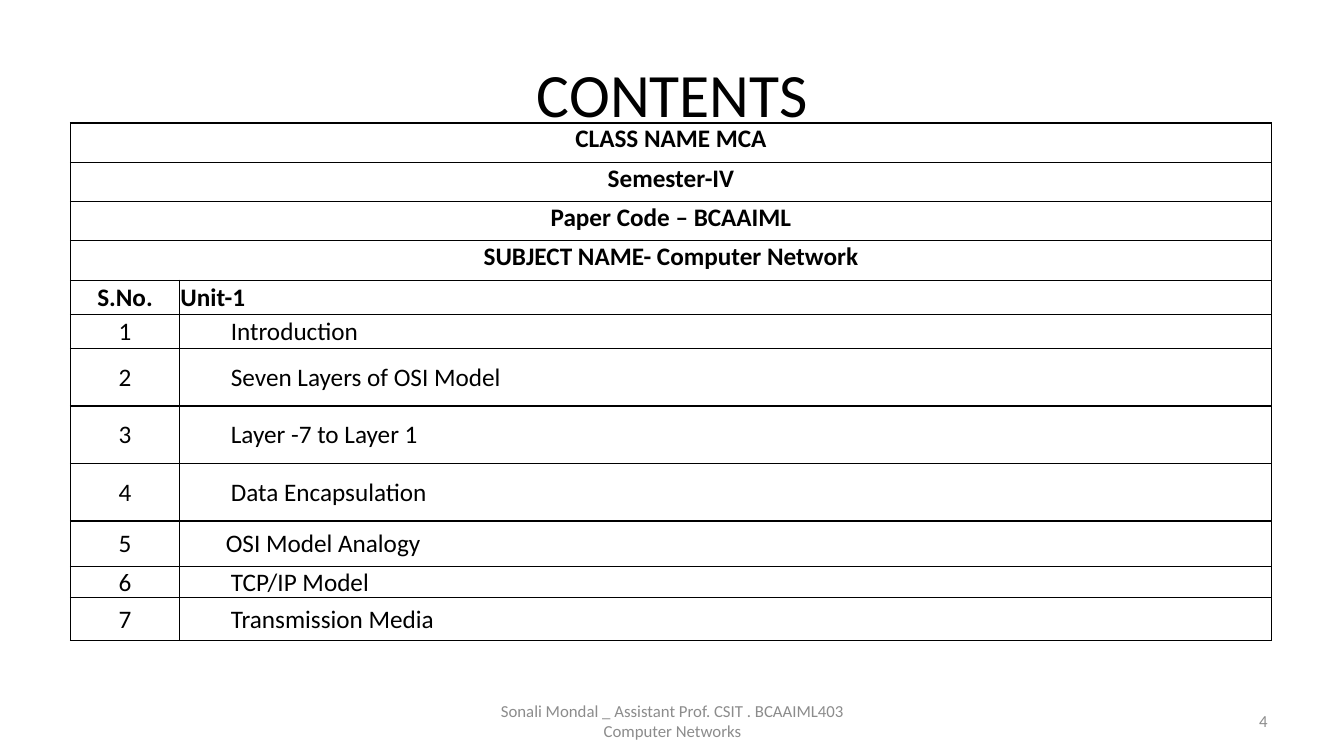
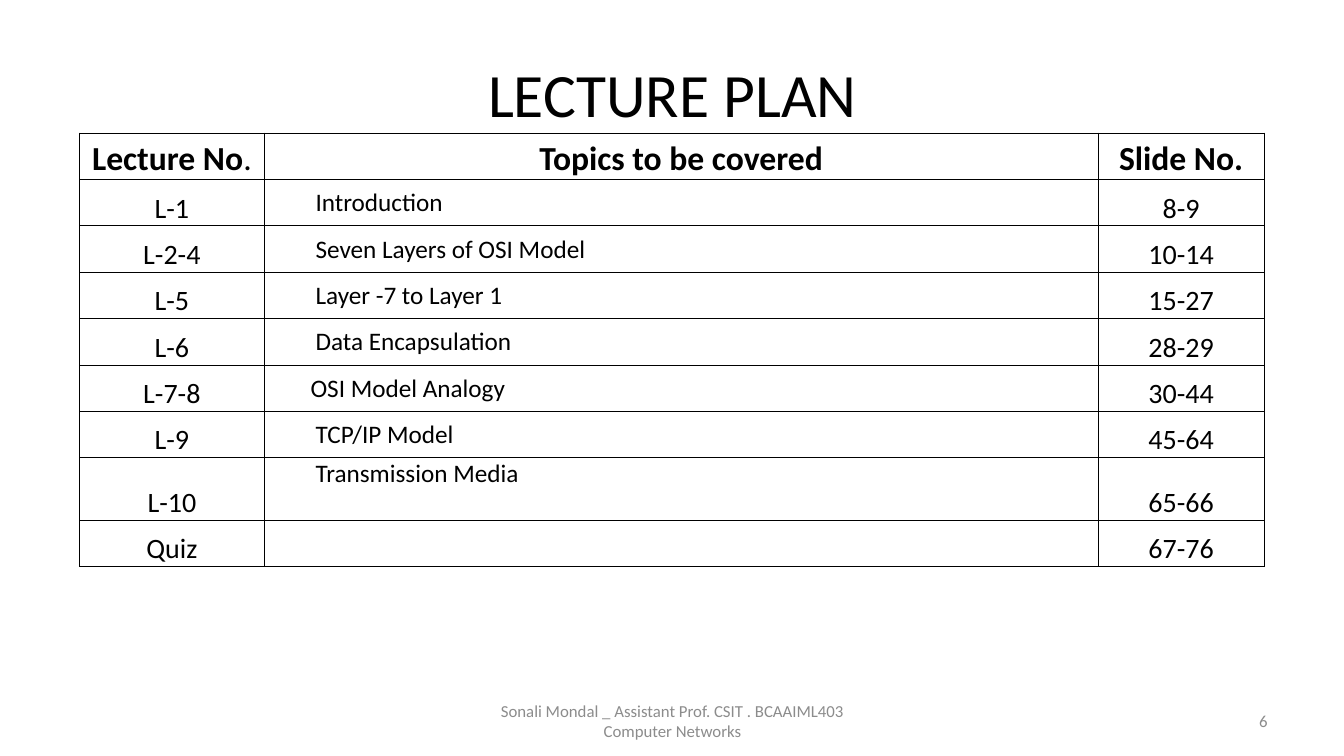
"""Builds the contents and lecture plan slides of a computer networks course."""
from dataclasses import dataclass

import pptx
import pptx.dml.color
import pptx.enum.text
import pptx.oxml
import pptx.oxml.ns
import pptx.util

Inches = pptx.util.Inches
ALIGN = pptx.enum.text.PP_ALIGN
ANCHOR = pptx.enum.text.MSO_ANCHOR

FONT = "Calibri"
BLACK = "000000"
GREY = "8C8C8C"
FOOTER = "Sonali Mondal _ Assistant Prof. CSIT . BCAAIML403 Computer Networks"


@dataclass(frozen=True)
class Style:
    size: float = 18
    bold: bool = False
    align: int = ALIGN.CENTER
    anchor: int = ANCHOR.MIDDLE
    indent: float = 0
    colour: str = BLACK


@dataclass(frozen=True)
class Entry:
    text: str
    style: Style
    plain_end: str = ""


@dataclass(frozen=True)
class Grid:
    left: float
    top: float
    columns: list[float]
    rows: list[float]
    entries: list[list[Entry]]
    border: float


TITLE = Style(size=44)
FOOTER_TEXT = Style(size=12, colour=GREY)
PAGE_NUMBER = Style(size=12, colour=GREY, align=ALIGN.RIGHT)
BANNER = Style(bold=True, anchor=ANCHOR.TOP)
HEADING = Style(bold=True)
UNIT = Style(bold=True, align=ALIGN.JUSTIFY)
NUMBER = Style()
TOPIC = Style(align=ALIGN.LEFT, indent=0.5)
NEAR_TOPIC = Style(align=ALIGN.LEFT, indent=0.45)
TOP_TOPIC = Style(align=ALIGN.LEFT, indent=0.5, anchor=ANCHOR.TOP)
PLAN_HEADING = Style(size=24, bold=True, anchor=ANCHOR.BOTTOM)
PLAN_VALUE = Style(size=20, anchor=ANCHOR.BOTTOM)

TOPICS = [
    Entry("Introduction", TOPIC),
    Entry("Seven Layers of OSI Model", TOPIC),
    Entry("Layer -7 to Layer 1", TOPIC),
    Entry("Data Encapsulation", TOPIC),
    Entry("OSI Model Analogy", NEAR_TOPIC),
    Entry("TCP/IP Model", TOPIC),
    Entry("Transmission Media", TOPIC),
]
BANNERS = ["CLASS NAME MCA", "Semester-IV", "Paper Code – BCAAIML", "SUBJECT NAME- Computer Network"]
LECTURES = ["L-1", "L-2-4", "L-5", "L-6", "L-7-8", "L-9", "L-10", "Quiz"]
SLIDE_RANGES = ["8-9", "10-14", "15-27", "28-29", "30-44", "45-64", "65-66", "67-76"]
PLAN_TOPICS = [*TOPICS[:-1], Entry(TOPICS[-1].text, TOP_TOPIC), Entry("", TOPIC)]

CONTENTS = Grid(
    left=0.7, top=1.22, columns=[1.08, 10.83],
    rows=[0.39] * 4 + [0.34] * 2 + [0.57] * 3 + [0.45, 0.31, 0.43],
    entries=[[Entry(banner, BANNER)] for banner in BANNERS]
    + [[Entry("S.No.", HEADING), Entry("Unit-1", UNIT)]]
    + [[Entry(str(number), NUMBER), topic] for number, topic in enumerate(TOPICS, 1)],
    border=1,
)
LECTURE_PLAN = Grid(
    left=0.79, top=1.32, columns=[1.83, 8.27, 1.65],
    rows=[0.46] * 7 + [0.62, 0.46],
    entries=[[
        Entry("Lecture No", PLAN_HEADING, plain_end="."),
        Entry("Topics to be covered", PLAN_HEADING),
        Entry("Slide No.", PLAN_HEADING),
    ]] + [
        [Entry(lecture, PLAN_VALUE), topic, Entry(slides, PLAN_VALUE)]
        for lecture, topic, slides in zip(LECTURES, PLAN_TOPICS, SLIDE_RANGES)
    ],
    border=0.5,
)


def colour(value: str) -> pptx.dml.color.RGBColor:
    """Turn a hex string into a colour."""
    return pptx.dml.color.RGBColor.from_string(value)


def add_span(para, text: str, style: Style, bold: bool) -> None:
    """Append one formatted run to a paragraph."""
    span = para.add_run()
    span.text = text
    span.font.name = FONT
    span.font.size = pptx.util.Pt(style.size)
    span.font.bold = bold
    span.font.color.rgb = colour(style.colour)


def write_entry(frame, entry: Entry) -> None:
    """Write an entry into the first paragraph of a text frame."""
    para = frame.paragraphs[0]
    para.alignment = entry.style.align
    if entry.style.indent:
        para._p.get_or_add_pPr().set("marL", str(Inches(entry.style.indent)))
    if entry.text:
        add_span(para, entry.text, entry.style, entry.style.bold)
    if entry.plain_end:
        add_span(para, entry.plain_end, entry.style, False)


def add_label(page, left: float, top: float, width: float, height: float, entry: Entry) -> None:
    """Add a wrapping text box."""
    box = page.shapes.add_textbox(Inches(left), Inches(top), Inches(width), Inches(height))
    box.text_frame.word_wrap = True
    box.text_frame.vertical_anchor = entry.style.anchor
    write_entry(box.text_frame, entry)


def style_cell(cell, border: float) -> None:
    """Give a cell thin margins, black borders and no fill."""
    cell.margin_left = cell.margin_right = cell.margin_top = Inches(0.01)
    cell.margin_bottom = 0
    properties = cell._tc.get_or_add_tcPr()
    for side in ("lnL", "lnR", "lnT", "lnB"):
        properties.append(pptx.oxml.parse_xml(
            f'<a:{side} {pptx.oxml.ns.nsdecls("a")} w="{pptx.util.Pt(border)}">'
            f'<a:solidFill><a:srgbClr val="{BLACK}"/></a:solidFill></a:{side}>'
        ))
    cell.fill.background()


def add_grid(page, grid: Grid) -> None:
    """Draw a table, merging each row that has a single entry."""
    table = page.shapes.add_table(
        len(grid.rows), len(grid.columns), Inches(grid.left), Inches(grid.top),
        Inches(sum(grid.columns)), Inches(sum(grid.rows)),
    ).table
    table.first_row = table.horz_banding = False
    for column, width in zip(table.columns, grid.columns):
        column.width = Inches(width)
    for row, height, entries in zip(table.rows, grid.rows, grid.entries):
        row.height = Inches(height)
        cells = list(row.cells)
        for cell in cells:
            style_cell(cell, grid.border)
        if len(entries) == 1:
            cells[0].merge(cells[-1])
        for cell, entry in zip(cells, entries):
            cell.vertical_anchor = entry.style.anchor
            write_entry(cell.text_frame, entry)


def add_page(deck, title: str, number: int, grid: Grid) -> None:
    """Add a slide with title, table, footer and page number."""
    page = deck.slides.add_slide(deck.slide_layouts[6])
    add_label(page, 0.67, 0.3, 12, 1.25, Entry(title, TITLE))
    add_label(page, 9.56, 6.95, 3.11, 0.4, Entry(str(number), PAGE_NUMBER))
    add_grid(page, grid)
    add_label(page, 4.56, 6.95, 4.22, 0.4, Entry(FOOTER, FOOTER_TEXT))


def main() -> None:
    """Build and save the deck."""
    deck = pptx.Presentation()
    deck.slide_width, deck.slide_height = Inches(13.33), Inches(7.5)
    add_page(deck, "CONTENTS", 4, CONTENTS)
    add_page(deck, "LECTURE PLAN", 6, LECTURE_PLAN)
    deck.save("out.pptx")


if __name__ == "__main__":
    main()
